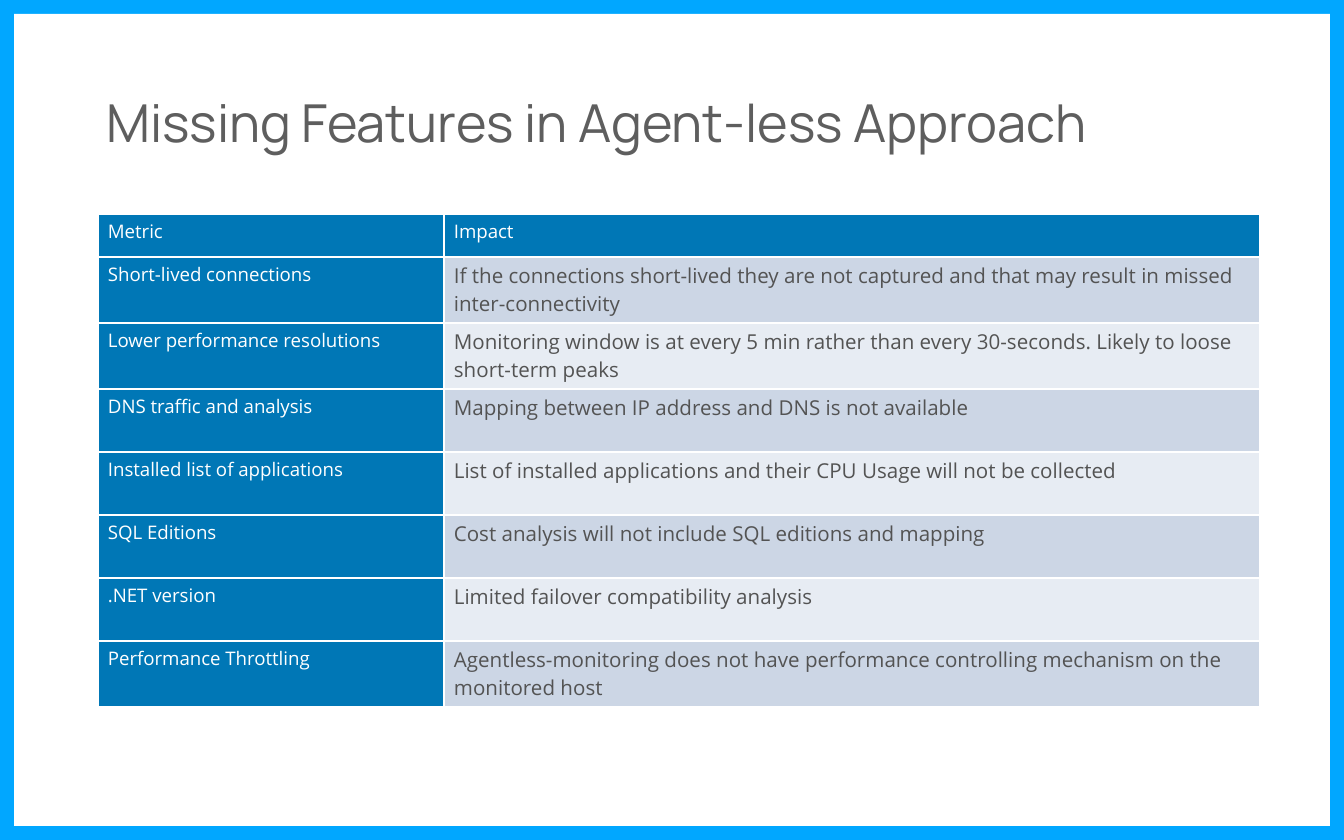
import pptx
import pptx.dml.color
import pptx.enum.shapes
import pptx.enum.text
import pptx.oxml
import pptx.oxml.ns
import pptx.util

RGBColor = pptx.dml.color.RGBColor
SKY = RGBColor(0x01, 0xA7, 0xFF)
WHITE = RGBColor(0xFF, 0xFF, 0xFF)
BLUE = RGBColor(0x00, 0x77, 0xB6)
BANDS = [RGBColor(0xE7, 0xEC, 0xF3), RGBColor(0xCC, 0xD6, 0xE5)]
TITLE_GRAY = RGBColor(0x5E, 0x5E, 0x5E)
BODY_GRAY = RGBColor(0x53, 0x53, 0x53)

HEADER_HEIGHT, ONE_LINE, TWO_LINES = 43, 63, 66
ROWS = [
    (HEADER_HEIGHT, "Metric", "Impact"),
    (TWO_LINES, "Short-lived connections",
     "If the connections short-lived they are not captured and that may result in missed inter-connectivity"),
    (TWO_LINES, "Lower performance resolutions",
     "Monitoring window is at every 5 min rather than every 30-seconds. Likely to loose short-term peaks"),
    (ONE_LINE, "DNS traffic and analysis", "Mapping between IP address and DNS is not available"),
    (ONE_LINE, "Installed list of applications",
     "List of installed applications and their CPU Usage will not be collected"),
    (ONE_LINE, "SQL Editions", "Cost analysis will not include SQL editions and mapping"),
    (ONE_LINE, ".NET version", "Limited failover compatibility analysis"),
    (TWO_LINES, "Performance Throttling",
     "Agentless-monitoring does not have performance controlling mechanism on the monitored host"),
]
COLUMN_WIDTHS = [346, 816]


def px(length):
    return round(length * 914400 / 134.4)


def add_borders(cell):
    """Draw a thin white line on all four sides of a table cell."""
    properties = cell._tc.get_or_add_tcPr()
    for side in ("lnL", "lnR", "lnT", "lnB"):
        properties.append(pptx.oxml.parse_xml(
            f'<a:{side} {pptx.oxml.ns.nsdecls("a")} w="12700"><a:solidFill>'
            f'<a:srgbClr val="{WHITE}"/></a:solidFill></a:{side}>'))


deck = pptx.Presentation()
deck.slide_width, deck.slide_height = px(1344), px(840)
page = deck.slides.add_slide(deck.slide_layouts[6])
page.background.fill.solid()
page.background.fill.fore_color.rgb = SKY

panel = page.shapes.add_shape(
    pptx.enum.shapes.MSO_SHAPE.RECTANGLE, px(14), px(14), px(1316), px(812))
panel.shadow.inherit = False
panel.fill.solid()
panel.fill.fore_color.rgb = WHITE
panel.line.fill.background()

title = page.shapes.add_textbox(px(93), px(44), px(1035), px(163))
title.text_frame.word_wrap = True
title.text_frame.vertical_anchor = pptx.enum.text.MSO_ANCHOR.MIDDLE
title.text_frame.text = "Missing Features in Agent-less Approach"
para = title.text_frame.paragraphs[0]
para.line_spacing = 0.9
para.font.name = "Manrope"
para.font.size = pptx.util.Pt(28)
para.font.color.rgb = TITLE_GRAY

table = page.shapes.add_table(
    len(ROWS), len(COLUMN_WIDTHS), px(98), px(214),
    px(sum(COLUMN_WIDTHS)), px(sum(row[0] for row in ROWS))).table
for column, width in zip(table.columns, COLUMN_WIDTHS):
    column.width = px(width)

for row_index, (height, *texts) in enumerate(ROWS):
    table.rows[row_index].height = px(height)
    for column_index, text in enumerate(texts):
        is_body = row_index > 0 and column_index > 0
        cell = table.cell(row_index, column_index)
        cell.margin_left = cell.margin_right = px(10)
        cell.margin_top = cell.margin_bottom = px(5)
        add_borders(cell)
        cell.fill.solid()
        cell.fill.fore_color.rgb = BANDS[row_index % 2] if is_body else BLUE
        cell.text_frame.text = text
        span = cell.text_frame.paragraphs[0].runs[0]
        span.font.name = "Open Sans"
        span.font.bold = False
        span.font.size = pptx.util.Pt(11 if is_body else 10)
        span.font.color.rgb = BODY_GRAY if is_body else WHITE

deck.save("out.pptx")
